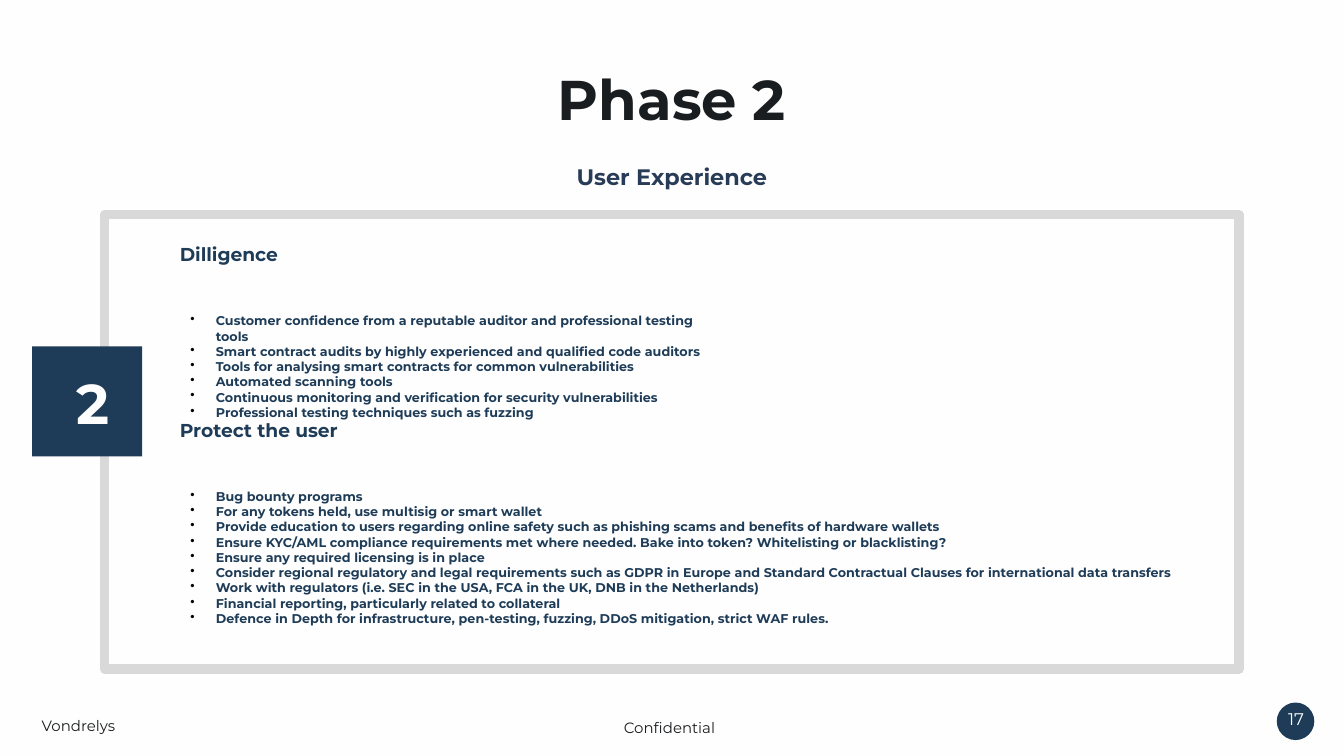
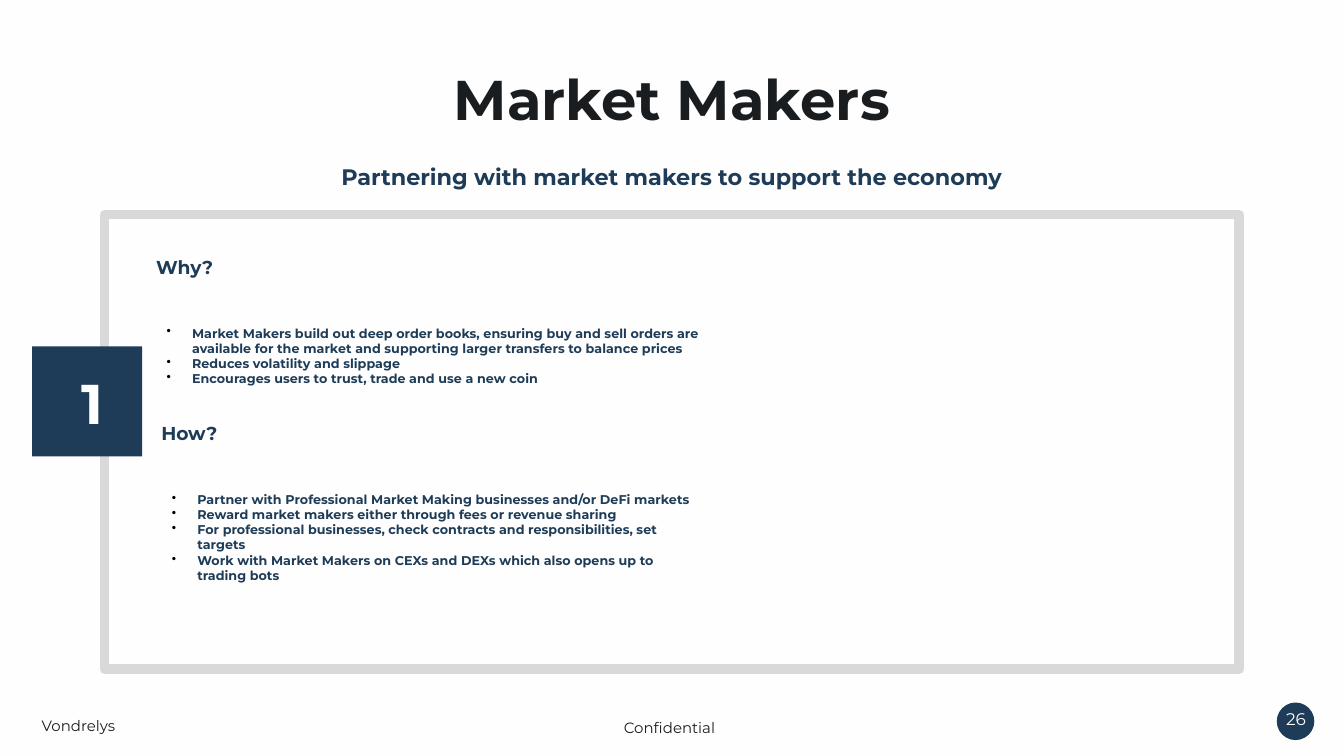
from lxml.etree import SubElement
from pptx import Presentation
from pptx.dml.color import RGBColor
from pptx.enum.shapes import MSO_SHAPE
from pptx.enum.text import MSO_AUTO_SIZE, PP_ALIGN
from pptx.oxml.ns import qn
from pptx.util import Cm, Pt

NAVY = RGBColor(0x1E, 0x3C, 0x57)
SLATE = RGBColor(0x29, 0x3C, 0x57)
INK = RGBColor(0x1A, 0x1D, 0x1F)
PAPER = RGBColor(0xFE, 0xFE, 0xFE)
FRAME_GREY = RGBColor(0xD9, 0xD9, 0xD9)
BLACK = RGBColor(0, 0, 0)

FONT = "Montserrat"
PAGE_WIDTH, PAGE_HEIGHT = 25.4, 14.29
HEADING_TO_LIST = 1.24
BULLET_INDENT = Cm(0.48)
TITLE_INSETS = (0.05, 0.13)
FOOTER_INSETS = (0.13, 0.13)
NUMBER_INSETS = (0.25, 0.25)
HEADING_INSETS = (0.05, 0.05)
LIST_INSETS = (0.25, 0.13)


class PhaseDeck:
    """Hold the deck style and the slide being built."""

    def __init__(self):
        """Start an empty deck."""
        self.deck = Presentation()
        self.deck.slide_width = Cm(PAGE_WIDTH)
        self.deck.slide_height = Cm(PAGE_HEIGHT)
        self.page = None

    def shape(self, kind, place, fill=None, line=None, weight=5):
        """Add a flat preset shape."""
        shape = self.page.shapes.add_shape(kind, *map(Cm, place))
        shape.shadow.inherit = False
        if fill is None:
            shape.fill.background()
        else:
            shape.fill.solid()
            shape.fill.fore_color.rgb = fill
        if line is None:
            shape.line.fill.background()
        else:
            shape.line.color.rgb = line
            shape.line.width = Pt(weight)

    def text(self, place, lines, size, color, insets, bold=False,
             align=PP_ALIGN.LEFT, wrap=True, bullets=False):
        """Add a text box with one paragraph for each line."""
        box = self.page.shapes.add_textbox(*map(Cm, place))
        frame = box.text_frame
        frame.word_wrap = wrap
        frame.auto_size = MSO_AUTO_SIZE.SHAPE_TO_FIT_TEXT
        frame.margin_left = frame.margin_right = Cm(insets[0])
        frame.margin_top = frame.margin_bottom = Cm(insets[1])
        frame.text = "\n".join(lines)
        for para in frame.paragraphs:
            para.alignment = align
            if bullets:
                self.bullet(para)
            for span in para.runs:
                span.font.name = FONT
                span.font.size = Pt(size)
                span.font.bold = bold
                span.font.color.rgb = color

    def bullet(self, para):
        """Give a paragraph a black hanging bullet."""
        properties = para._p.get_or_add_pPr()
        properties.set("marL", str(BULLET_INDENT))
        properties.set("indent", str(-BULLET_INDENT))
        color = SubElement(properties, qn("a:buClr"))
        SubElement(color, qn("a:srgbClr"), val=str(BLACK))
        SubElement(properties, qn("a:buChar"), char="•")

    def footer(self, number):
        """Add the footer texts and the page number."""
        self.shape(MSO_SHAPE.OVAL, (24.13, 13.28, 0.71, 0.71), NAVY)
        for left, top, label in ((0.66, 13.41, "Vondrelys"),
                                 (11.66, 13.46, "Confidential")):
            self.text((left, top, 7.9, 0.61), [label], 8, INK, FOOTER_INSETS)
        self.text((24.05, 13.21, 0.89, 0.89), [str(number)], 9, PAPER,
                  NUMBER_INSETS, align=PP_ALIGN.CENTER, wrap=False)

    def centred(self, place, words, size, color):
        """Add a bold centred line."""
        self.text(place, [words], size, color, TITLE_INSETS, bold=True,
                  align=PP_ALIGN.CENTER)

    def start_page(self, number, title, subtitle, step, subtitle_color=NAVY):
        """Add a page with its titles, frame and step square."""
        self.page = self.deck.slides.add_slide(self.deck.slide_layouts[6])
        background = self.page.background.fill
        background.solid()
        background.fore_color.rgb = PAPER
        self.footer(number)
        self.centred((0, 1.09, PAGE_WIDTH, 1.55), title, 30, INK)
        self.centred((4.14, 2.95, 17.12, 0.76), subtitle, 12, subtitle_color)
        self.shape(MSO_SHAPE.RECTANGLE, (1.98, 4.06, 21.44, 8.59),
                   line=FRAME_GREY)
        self.shape(MSO_SHAPE.RECTANGLE, (0.61, 6.55, 2.08, 2.08), NAVY)
        self.centred((1.07, 6.83, 1.37, 1.55), step, 30, PAPER)

    def section(self, left, top, width, height, heading, points):
        """Add a heading with its bullet list; the size is that of the list."""
        self.text((left, top, 6.6, 0.53), [heading], 10, NAVY,
                  HEADING_INSETS, bold=True)
        self.text((left, top + HEADING_TO_LIST, width, height), points, 6.8,
                  NAVY, LIST_INSETS, bold=True, bullets=True)


def main():
    """Build both pages and save the deck."""
    phases = PhaseDeck()

    phases.start_page(17, "Phase 2", "User Experience", "2", SLATE)
    phases.section(3.35, 4.55, 10.26, 2.29, "Dilligence", [
        "Customer confidence from a reputable auditor and professional testing tools",
        "Smart contract audits by highly experienced and qualified code auditors",
        "Tools for analysing smart contracts for common vulnerabilities",
        "Automated scanning tools",
        "Continuous monitoring and verification for security vulnerabilities",
        "Professional testing techniques such as fuzzing",
    ])
    phases.section(3.35, 7.87, 19.28, 3.15, "Protect the user", [
        "Bug bounty programs",
        "For any tokens held, use multisig or smart wallet",
        "Provide education to users regarding online safety such as phishing scams "
        "and benefits of hardware wallets",
        "Ensure KYC/AML compliance requirements met where needed. "
        "Bake into token? Whitelisting or blacklisting?",
        "Ensure any required licensing is in place",
        "Consider regional regulatory and legal requirements such as GDPR in Europe "
        "and Standard Contractual Clauses for international data transfers",
        "Work with regulators (i.e. SEC in the USA, FCA in the UK, DNB in the Netherlands)",
        "Financial reporting, particularly related to collateral",
        "Defence in Depth for infrastructure, pen-testing, fuzzing, DDoS mitigation, "
        "strict WAF rules.",
    ])

    phases.start_page(26, "Market Makers",
                      "Partnering with market makers to support the economy", "1")
    phases.section(2.9, 4.78, 10.62, 1.7, "Why?", [
        "Market Makers build out deep order books, ensuring buy and sell orders are "
        "available for the market and supporting larger transfers to balance prices",
        "Reduces volatility and slippage",
        "Encourages users to trust, trade and use a new coin",
    ])
    phases.section(3, 7.92, 10.52, 1.42, "How?", [
        "Partner with Professional Market Making businesses and/or DeFi markets",
        "Reward market makers either through fees or revenue sharing",
        "For professional businesses, check contracts and responsibilities, set targets",
        "Work with Market Makers on CEXs and DEXs which also opens up to trading bots",
    ])

    phases.deck.save("out.pptx")


if __name__ == "__main__":
    main()
